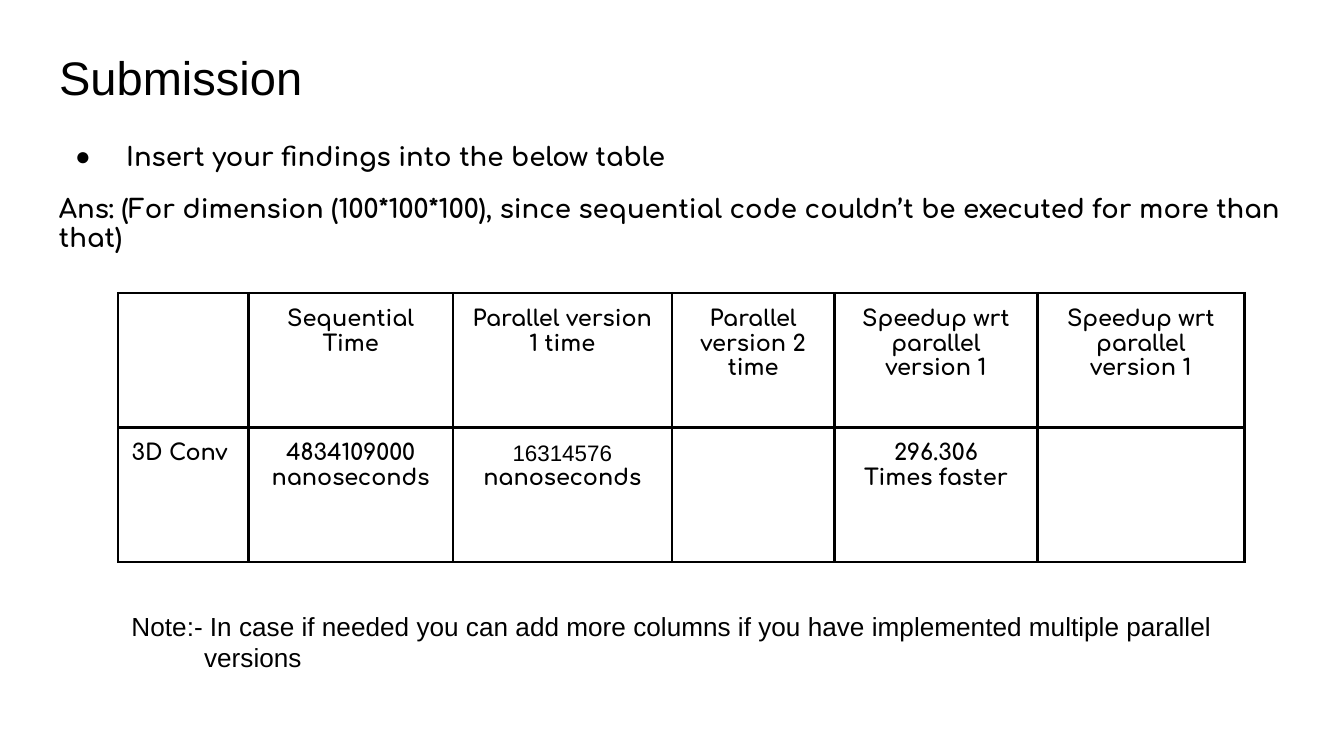
from dataclasses import dataclass

from lxml.etree import SubElement
from pptx import Presentation
from pptx.dml.color import RGBColor
from pptx.enum.text import MSO_ANCHOR, PP_ALIGN
from pptx.oxml.ns import qn
from pptx.util import Inches, Pt


@dataclass(frozen=True)
class Theme:
    ink: str = "000000"
    paper: str = "FFFFFF"
    plain: str = "Arial"
    round: str = "Comfortaa"
    title: float = 25.2
    body: float = 13.9
    cell: float = 12
    note: float = 14
    line: float = 1.5


THEME = Theme()
INSET = Inches(0.1)
PLAIN = {"name": THEME.plain, "bold": False}
ROUND = {"name": THEME.round, "bold": True}

WIDTHS = [0.97, 1.52, 1.63, 1.21, 1.51, 1.54]
ROWS = [
    ["", "Sequential Time", "Parallel version 1 time",
     "Parallel version 2 time", "Speedup wrt parallel version 1",
     "Speedup wrt parallel version 1"],
    ["3D Conv", "4834109000\nnanoseconds", "16314576\nnanoseconds", "",
     "296.306\nTimes faster", ""],
]


def apply(target, values):
    for name, value in values.items():
        setattr(target, name, value)


def write(para, text, size, face, **layout):
    """Put one styled run in a paragraph and set the paragraph's layout."""
    apply(para, layout)
    run = para.add_run()
    run.text = text
    apply(run.font, {"size": Pt(size), **face})
    run.font.color.rgb = RGBColor.from_string(THEME.ink)


def indent(para, left, first, mark=None):
    props = para._p.get_or_add_pPr()
    props.set("marL", str(Inches(left)))
    props.set("indent", str(Inches(first)))
    if mark:
        SubElement(props, qn("a:buFont"), typeface=THEME.plain)
        SubElement(props, qn("a:buChar"), char=mark)


def frame(shape, box):
    """Place a text shape and return its text frame."""
    apply(shape, dict(zip(("left", "top", "width", "height"), map(Inches, box))))
    text = shape.text_frame
    apply(text, {"word_wrap": True, "vertical_anchor": MSO_ANCHOR.TOP,
                 "margin_left": INSET, "margin_right": INSET,
                 "margin_top": INSET, "margin_bottom": INSET})
    return text


def add_box(slide, box):
    return frame(slide.shapes.add_textbox(0, 0, 0, 0), box)


def add_title(slide, box):
    text = frame(slide.shapes.title, box)
    write(text.paragraphs[0], "Submission", THEME.title, PLAIN,
          alignment=PP_ALIGN.LEFT)


def add_body(slide, box):
    text = add_box(slide, box)
    task = text.paragraphs[0]
    write(task, "Insert your findings into the below table",
          THEME.body, ROUND, line_spacing=0.95)
    indent(task, 0.5, -0.38, "●")
    write(text.add_paragraph(),
          "Ans: (For dimension (100*100*100), since sequential code "
          "couldn’t be executed for more than that)",
          THEME.body, ROUND, line_spacing=0.95,
          space_before=Pt(12), space_after=Pt(12))


def style_cell(cell):
    props = cell._tc.get_or_add_tcPr()
    for side in ("lnL", "lnR", "lnT", "lnB"):
        line = SubElement(props, qn(f"a:{side}"), w=str(Pt(THEME.line)))
        fill = SubElement(line, qn("a:solidFill"))
        SubElement(fill, qn("a:srgbClr"), val=THEME.ink)
    cell.fill.background()
    apply(cell, {"margin_left": INSET, "margin_right": INSET,
                 "margin_top": INSET, "margin_bottom": INSET})


def add_results(slide, box):
    table = slide.shapes.add_table(
        len(ROWS), len(WIDTHS), *map(Inches, box)).table
    apply(table, {"first_row": False, "horz_banding": False})
    for col, width in zip(table.columns, WIDTHS):
        col.width = Inches(width)
    for r, row in enumerate(ROWS):
        for c, words in enumerate(row):
            cell = table.cell(r, c)
            style_cell(cell)
            if not words:
                continue
            align = PP_ALIGN.CENTER if c else PP_ALIGN.LEFT
            text = cell.text_frame
            for n, line in enumerate(words.split("\n")):
                para = text.add_paragraph() if n else text.paragraphs[0]
                face = PLAIN if line == "16314576" else ROUND
                write(para, line, THEME.cell, face, alignment=align)


def add_note(slide, box):
    text = add_box(slide, box)
    write(text.paragraphs[0],
          "Note:- In case if needed you can add more columns if you have "
          "implemented multiple parallel", THEME.note, PLAIN)
    last = text.add_paragraph()
    write(last, "versions", THEME.note, PLAIN)
    indent(last, 0.54, 0)


def main():
    deck = Presentation()
    wide = Inches(10)
    apply(deck, {"slide_width": wide, "slide_height": wide * 9 // 16})
    slide = deck.slides.add_slide(deck.slide_layouts[5])
    fill = slide.background.fill
    fill.solid()
    fill.fore_color.rgb = RGBColor.from_string(THEME.paper)
    add_title(slide, (0.34, 0.26, 9.32, 0.63))
    add_body(slide, (0.34, 0.96, 9.32, 1.22))
    add_results(slide, (0.88, 2.18, sum(WIDTHS), 2))
    add_note(slide, (0.88, 4.44, 8.38, 0.67))
    deck.save("out.pptx")


if __name__ == "__main__":
    main()
